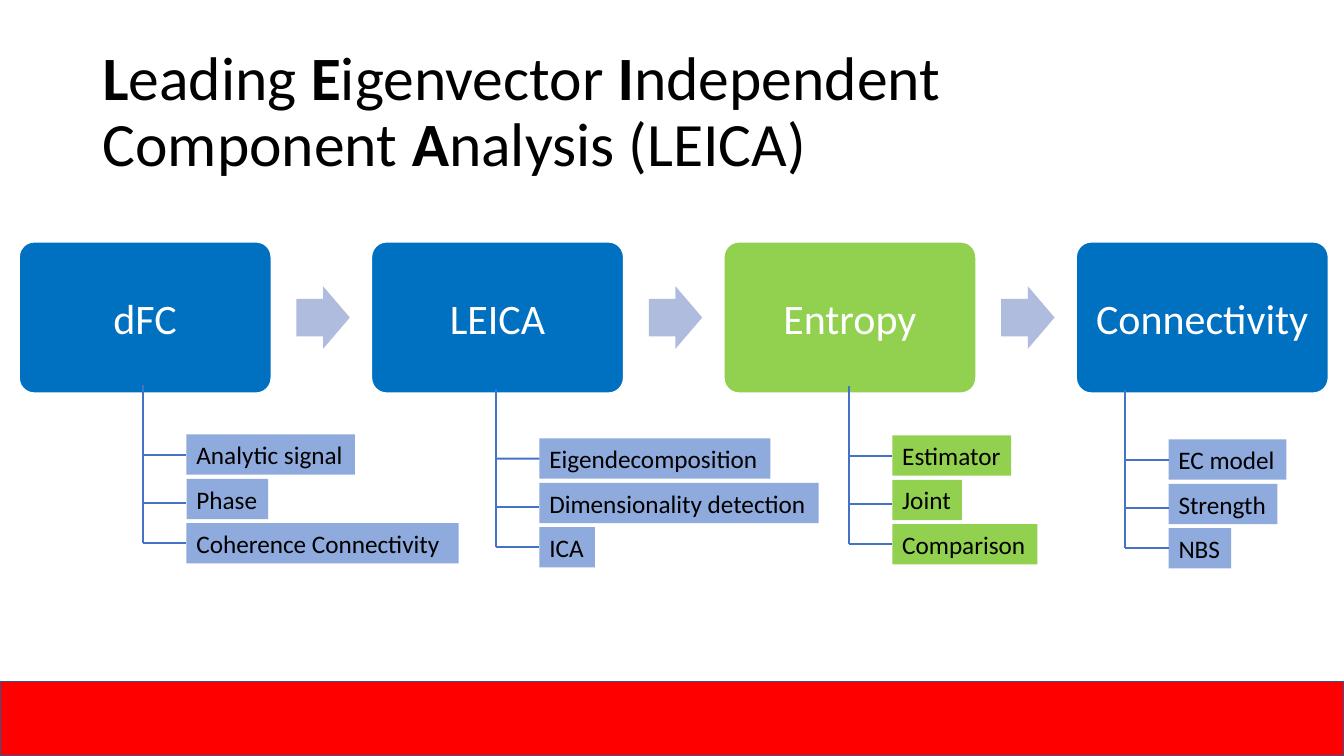
from dataclasses import dataclass

import pptx
import pptx.dml.color
import pptx.enum.shapes
import pptx.enum.text
import pptx.oxml
import pptx.oxml.ns
import pptx.util

Inches = pptx.util.Inches
Pt = pptx.util.Pt
RGBColor = pptx.dml.color.RGBColor
Shape = pptx.enum.shapes.MSO_SHAPE
Align = pptx.enum.text.PP_ALIGN
Anchor = pptx.enum.text.MSO_ANCHOR

BLACK = RGBColor(0x00, 0x00, 0x00)
WHITE = RGBColor(0xFF, 0xFF, 0xFF)
RED = RGBColor(0xFF, 0x00, 0x00)
NAVY = RGBColor(0x32, 0x54, 0x91)
BLUE = RGBColor(0x00, 0x70, 0xC0)
GREEN = RGBColor(0x92, 0xD0, 0x50)
LIGHT_BLUE = RGBColor(0x8F, 0xAA, 0xDC)
ARROW_BLUE = RGBColor(0xB0, 0xBC, 0xDE)
LINE_BLUE = RGBColor(0x44, 0x72, 0xC4)

FONT = "Calibri"
PAGE_WIDTH, PAGE_HEIGHT = 13.33, 7.5
STAGE_LEFT, STAGE_TOP, STAGE_STEP = 0.19, 2.4, 3.495
STAGE_WIDTH, STAGE_HEIGHT = 2.5, 1.5
ARROW_OFFSET, ARROW_WIDTH, ARROW_HEIGHT = 2.75, 0.53, 0.62
LABEL_HEIGHT, LABEL_STEP, LABEL_DROP = 0.4, 0.44, 0.49
BRANCH_LENGTH = 0.43
BRANCH_DROPS = (0.69, 1.17, 1.57)  # below the top of the stem
LABEL_MIDDLE = 1


@dataclass
class Label:
    text: str
    width: float


@dataclass
class Stage:
    name: str
    color: RGBColor
    label_color: RGBColor
    stem_left: float
    stem_top: float
    labels: list[Label]


STAGES = [
    Stage("dFC", BLUE, LIGHT_BLUE, 1.42, 3.82, [
        Label("Analytic signal", 1.67), Label("Phase", 0.81),
        Label("Coherence Connectivity", 2.7)]),
    Stage("LEICA", BLUE, LIGHT_BLUE, 4.92, 3.86, [
        Label("Eigendecomposition", 2.29),
        Label("Dimensionality detection", 2.77), Label("ICA", 0.55)]),
    Stage("Entropy", GREEN, GREEN, 8.42, 3.83, [
        Label("Estimator", 1.18), Label("Joint", 0.69),
        Label("Comparison", 1.44)]),
    Stage("Connectivity", BLUE, LIGHT_BLUE, 11.16, 3.87, [
        Label("EC model", 1.17), Label("Strength", 1.08), Label("NBS", 0.62)]),
]

# Title pieces with their bold flag
TITLE = [("L", True), ("eading ", False), ("E", True), ("igenvector ", False),
         ("I", True), ("ndependent Component ", False), ("A", True),
         ("nalysis (LEICA)", False)]


def add_span(para, text: str, *, size: float, color: RGBColor,
             bold: bool = False) -> None:
    span = para.add_run()
    span.text = text
    span.font.name = FONT
    span.font.size = Pt(size)
    span.font.bold = bold
    span.font.color.rgb = color


def write_text(box, text: str, *, size: float, color: RGBColor,
               align: Align, left: float, right: float) -> None:
    frame = box.text_frame
    frame.word_wrap = True
    frame.vertical_anchor = Anchor.MIDDLE
    frame.margin_left, frame.margin_right = Inches(left), Inches(right)
    para = frame.paragraphs[0]
    para.alignment = align
    add_span(para, text, size=size, color=color)


def add_box(page, kind: Shape, left: float, top: float, width: float,
            height: float, *, fill: RGBColor, line: RGBColor | None = None):
    box = page.shapes.add_shape(kind, Inches(left), Inches(top),
                                Inches(width), Inches(height))
    box.shadow.inherit = False
    box.fill.solid()
    box.fill.fore_color.rgb = fill
    if line is None:
        box.line.fill.background()
    else:
        box.line.color.rgb = line
        box.line.width = Pt(1)
    return box


def add_line(page, left: float, top: float, right: float, bottom: float):
    line = page.shapes.add_connector(
        pptx.enum.shapes.MSO_CONNECTOR.STRAIGHT,
        Inches(left), Inches(top), Inches(right), Inches(bottom))
    line.line.color.rgb = LINE_BLUE
    line.line.width = Pt(1.5)
    properties = line.element.find(pptx.oxml.ns.qn("p:spPr"))
    properties.append(pptx.oxml.parse_xml(
        f'<a:effectLst {pptx.oxml.ns.nsdecls("a")}/>'))
    return line


def add_title(page) -> None:
    box = page.shapes.add_textbox(Inches(0.92), Inches(0.4),
                                  Inches(11.5), Inches(1.45))
    frame = box.text_frame
    frame.word_wrap = True
    frame.vertical_anchor = Anchor.MIDDLE
    para = frame.paragraphs[0]
    para.line_spacing = 0.9
    for text, bold in TITLE:
        add_span(para, text, size=44, color=BLACK, bold=bold)


def add_stage(page, stage: Stage, left: float) -> None:
    box = add_box(page, Shape.ROUNDED_RECTANGLE, left, STAGE_TOP, STAGE_WIDTH,
                  STAGE_HEIGHT, fill=stage.color, line=WHITE)
    box.adjustments[0] = 0.1
    write_text(box, stage.name, size=30, color=WHITE, align=Align.CENTER,
               left=0.12, right=0.12)


def add_arrow(page, left: float) -> None:
    top = STAGE_TOP + (STAGE_HEIGHT - ARROW_HEIGHT) / 2
    arrow = add_box(page, Shape.RIGHT_ARROW, left, top, ARROW_WIDTH,
                    ARROW_HEIGHT, fill=ARROW_BLUE)
    arrow.adjustments[0] = 0.6
    arrow.adjustments[1] = 0.5


def add_branches(page, stage: Stage) -> None:
    stem, top = stage.stem_left, stage.stem_top
    label_left = stem + BRANCH_LENGTH
    add_line(page, stem, top, stem, top + BRANCH_DROPS[-1])
    for row, (label, drop) in enumerate(zip(stage.labels, BRANCH_DROPS)):
        box = add_box(page, Shape.RECTANGLE, label_left,
                      top + LABEL_DROP + row * LABEL_STEP,
                      label.width, LABEL_HEIGHT, fill=stage.label_color)
        write_text(box, label.text, size=18, color=BLACK, align=Align.LEFT,
                   left=0.1, right=0)
        branch = add_line(page, stem, top + drop, label_left, top + drop)
        # The second branch meets its label just below the middle
        if row != LABEL_MIDDLE:
            branch.end_connect(box, 1)


def main() -> None:
    deck = pptx.Presentation()
    deck.slide_width = Inches(PAGE_WIDTH)
    deck.slide_height = Inches(PAGE_HEIGHT)
    page = deck.slides.add_slide(deck.slide_layouts[6])

    # Title and footer band
    add_title(page)
    add_box(page, Shape.RECTANGLE, 0, 6.76, PAGE_WIDTH, 0.74,
            fill=RED, line=NAVY)

    # Stages, the arrows between them and their branches
    for index, stage in enumerate(STAGES):
        left = STAGE_LEFT + index * STAGE_STEP
        add_stage(page, stage, left)
        if index < len(STAGES) - 1:
            add_arrow(page, left + ARROW_OFFSET)
        add_branches(page, stage)

    deck.save("out.pptx")


if __name__ == "__main__":
    main()
